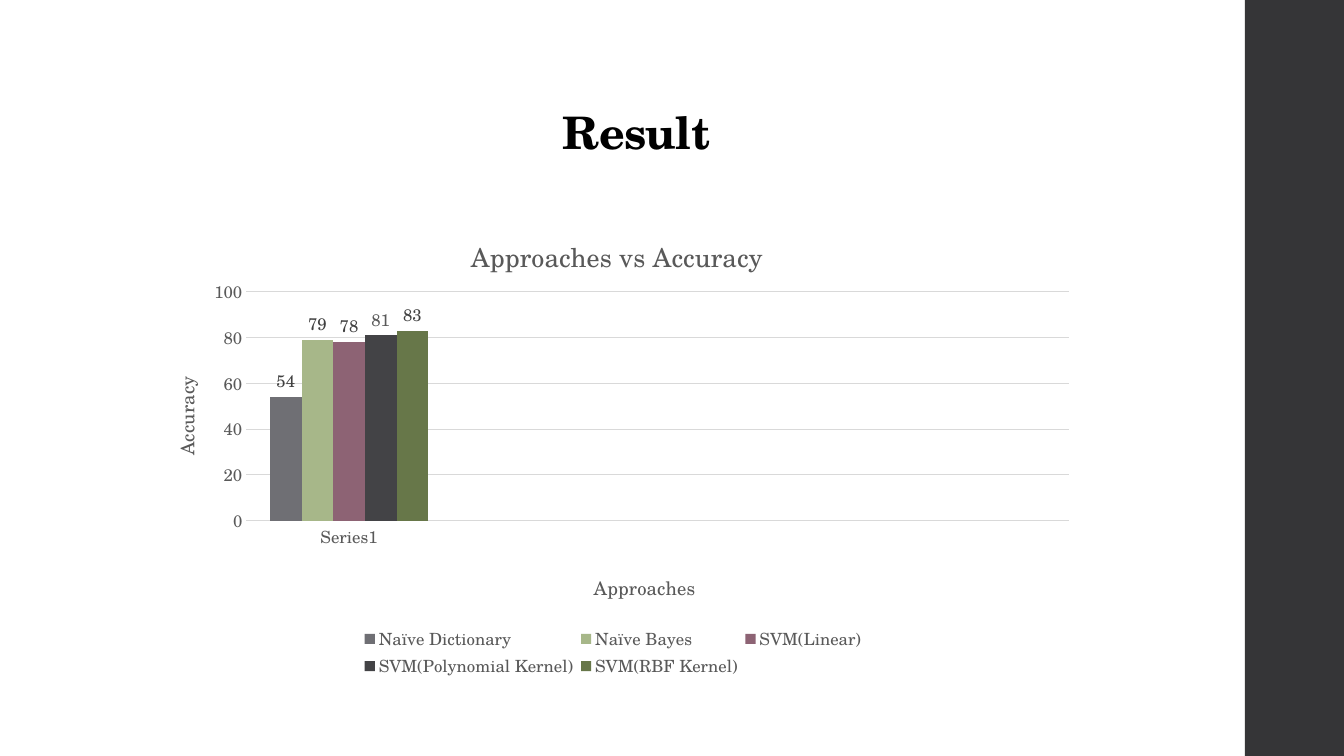
from lxml import etree
from pptx import Presentation
from pptx.chart.data import CategoryChartData
from pptx.dml.color import RGBColor
from pptx.enum.chart import XL_CHART_TYPE, XL_LABEL_POSITION, XL_LEGEND_POSITION, XL_TICK_MARK
from pptx.enum.shapes import MSO_SHAPE
from pptx.enum.text import MSO_ANCHOR, PP_ALIGN
from pptx.oxml.ns import qn
from pptx.util import Cm, Pt

FONT = "TeX Gyre Schola"
BLACK = RGBColor(0x00, 0x00, 0x00)
SIDEBAR = RGBColor(0x35, 0x35, 0x37)
GREY = RGBColor(0x59, 0x59, 0x59)
LABEL = RGBColor(0x40, 0x40, 0x40)
GRID = RGBColor(0xD9, 0xD9, 0xD9)

# Approach, accuracy, bar colour, label colour
RESULTS = [
    ("Naïve Dictionary", 54, RGBColor(0x6F, 0x6F, 0x74), LABEL),
    ("Naïve Bayes", 79, RGBColor(0xA7, 0xB7, 0x89), LABEL),
    ("SVM(Linear)", 78, RGBColor(0x8D, 0x63, 0x74), LABEL),
    ("SVM(Polynomial Kernel)", 81, RGBColor(0x43, 0x43, 0x46), GREY),
    ("SVM(RBF Kernel)", 83, RGBColor(0x67, 0x77, 0x49), LABEL),
]


def style(font, size, color, bold=False):
    font.name, font.size, font.bold = FONT, Pt(size), bold
    font.color.rgb = color


def place(element, **fractions):
    """Set a manual chart layout, in fractions of the chart frame."""
    for old in element.findall(qn("c:layout")):
        element.remove(old)
    layout = etree.Element(qn("c:layout"))
    manual = etree.SubElement(layout, qn("c:manualLayout"))
    if element.tag == qn("c:plotArea"):
        etree.SubElement(manual, qn("c:layoutTarget")).set("val", "inner")
    for mode in ("xMode", "yMode"):
        etree.SubElement(manual, qn(f"c:{mode}")).set("val", "edge")
    for name, value in fractions.items():
        etree.SubElement(manual, qn(f"c:{name}")).set("val", str(value))
    overlay = element.find(qn("c:overlay"))
    if overlay is None:
        element.insert(0, layout)
    else:
        overlay.addprevious(layout)


prs = Presentation()
prs.slide_width, prs.slide_height = Cm(33.87), Cm(19.05)
s = prs.slides.add_slide(prs.slide_layouts[6])

# Sidebar
sp = s.shapes.add_shape(MSO_SHAPE.RECTANGLE, Cm(31.37), 0, Cm(2.5), Cm(19.05))
sp.shadow.inherit = False
sp.fill.solid()
sp.fill.fore_color.rgb = SIDEBAR
sp.line.fill.background()

# Slide title
tf = s.shapes.add_textbox(Cm(7.67), Cm(0.99), Cm(16.74), Cm(3.15)).text_frame
tf.word_wrap = True
tf.vertical_anchor = MSO_ANCHOR.BOTTOM
p = tf.paragraphs[0]
p.alignment = PP_ALIGN.CENTER
p.line_spacing = 0.9
r = p.add_run()
r.text = "Result"
style(r.font, 32, BLACK, bold=True)
r.font._element.set("spc", "-50")

# Chart
data = CategoryChartData()
data.categories = ["Series1", "", "", ""]
for name, accuracy, _, _ in RESULTS:
    data.add_series(name, [accuracy, None, None, None])
chart = s.shapes.add_chart(XL_CHART_TYPE.COLUMN_CLUSTERED, Cm(3.51), Cm(5.08),
                           Cm(23.88), Cm(12.09), data).chart
style(chart.font, 10, BLACK)
plot = chart.plots[0]
plot.gap_width, plot.overlap, plot.vary_by_categories = 150, 0, False
place(chart._chartSpace.chart.plotArea, x=0.113, y=0.188, w=0.868, h=0.477)

# Bars and value labels
for series, (_, _, color, label_color) in zip(plot.series, RESULTS):
    series.format.fill.solid()
    series.format.fill.fore_color.rgb = color
    labels = series.data_labels
    labels.show_value = True
    labels.position = XL_LABEL_POSITION.OUTSIDE_END
    style(labels.font, 12, label_color)

# Axes
for axis in (chart.category_axis, chart.value_axis):
    axis.major_tick_mark = axis.minor_tick_mark = XL_TICK_MARK.NONE
    axis.format.line.fill.background()
    style(axis.tick_labels.font, 12, GREY)
value_axis = chart.value_axis
value_axis.minimum_scale, value_axis.maximum_scale = 0, 100
value_axis.major_unit = 20
grid = value_axis.major_gridlines.format.line
grid.color.rgb, grid.width = GRID, Pt(0.75)

# Chart and axis titles
chart.has_title = True
for title, text, size, x, y in [
    (chart.chart_title, "Approaches vs Accuracy", 18.6, 0.345, 0.06),
    (chart.category_axis.axis_title, "Approaches", 13.3, 0.476, 0.765),
    (value_axis.axis_title, "Accuracy", 13.3, 0.03, 0.357),
]:
    r = title.text_frame.paragraphs[0].add_run()
    r.text = text
    style(r.font, size, GREY)
    place(title._element, x=x, y=y)
value_axis.axis_title.text_frame._txBody.bodyPr.set("rot", "-5400000")

# Legend
chart.has_legend = True
legend = chart.legend
legend.position = XL_LEGEND_POSITION.BOTTOM
legend.include_in_layout = False
style(legend.font, 12, GREY)
place(legend._element, x=0.23, y=0.88, w=0.54, h=0.12)

prs.save("out.pptx")
